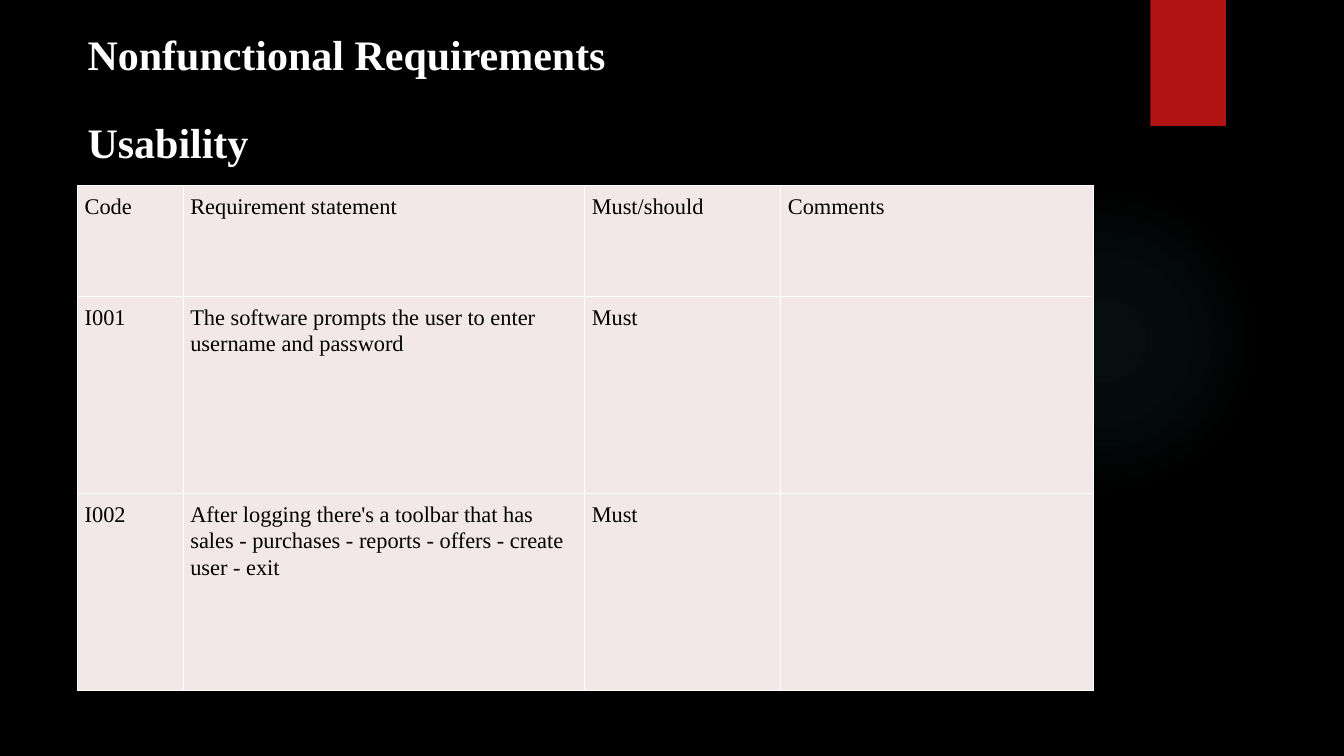
from dataclasses import dataclass

from lxml import etree
from pptx import Presentation
from pptx.dml.color import RGBColor
from pptx.enum.shapes import MSO_SHAPE
from pptx.oxml import parse_xml
from pptx.oxml.ns import nsdecls, qn
from pptx.util import Inches, Pt

OVAL = MSO_SHAPE.OVAL
RECTANGLE = MSO_SHAPE.RECTANGLE


@dataclass(frozen=True)
class Theme:
    font: str = "Times New Roman"
    background: str = "000000"
    heading: str = "FFFFFF"
    body: str = "000000"
    cell: str = "F2E8E7"
    border: str = "FFFFFF"
    ribbon: str = "B01513"
    glow: str = "50B9C1"
    heading_size: int = 30
    body_size: int = 16
    line_spacing: float = 1.07


THEME = Theme()
SLIDE_WIDTH, SLIDE_HEIGHT = 13.33, 7.5
LEFT_MARGIN = 0.77
GLOW_BOX = (9.41, 1.83, 3.08, 3.08)
RIBBON_BOX = (11.41, 0, 0.75, 1.25)
HEADING_BOX = (LEFT_MARGIN, 0.2, 6.67, 2.16)
TABLE_BOX = (LEFT_MARGIN, 1.84, 10.08, 5.01)
COLUMN_SHARES = (0.104, 0.395, 0.193, 0.308)
ROW_SHARES = (0.22, 0.39, 0.39)
CELL_MARGIN = 0.07
GLOW_STOPS = ((0, 7), (36, 6), (69, 0))  # position and opacity, percent

HEADINGS = ("Nonfunctional Requirements", "Usability")
REQUIREMENTS = (
    ("Code", "Requirement statement", "Must/should", "Comments"),
    ("I001", "The software prompts the user to enter username and password", "Must", ""),
    ("I002", "After logging there's a toolbar that has sales - purchases - reports"
             " - offers - create user - exit", "Must", ""),
)


def color(code):
    return RGBColor.from_string(code)


def inches(box):
    return [Inches(length) for length in box]


def style_paragraph(para, size, code, space_after, bold=False):
    para.line_spacing = THEME.line_spacing
    para.space_after = Pt(space_after)
    para.font.name = THEME.font
    para.font.size = Pt(size)
    para.font.bold = bold
    para.font.color.rgb = color(code)


def add_plain_shape(slide, kind, box, code):
    shape = slide.shapes.add_shape(kind, *inches(box))
    shape.shadow.inherit = False
    shape.fill.solid()
    shape.fill.fore_color.rgb = color(code)
    shape.line.fill.background()
    return shape


def add_glow(slide, box):
    """Draw a circle that fades out from its centre."""
    glow = add_plain_shape(slide, OVAL, box, THEME.glow)
    stops = "".join(
        f'<a:gs pos="{position * 1000}"><a:srgbClr val="{THEME.glow}">'
        f'<a:alpha val="{opacity * 1000}"/></a:srgbClr></a:gs>'
        for position, opacity in GLOW_STOPS)
    gradient = parse_xml(
        f'<a:gradFill {nsdecls("a")}><a:gsLst>{stops}</a:gsLst><a:path path="circle">'
        '<a:fillToRect l="50000" t="50000" r="50000" b="50000"/></a:path></a:gradFill>')
    properties = glow.element.spPr
    properties.replace(properties.find(qn("a:solidFill")), gradient)


def add_ribbon(slide, box):
    ribbon = add_plain_shape(slide, RECTANGLE, box, THEME.ribbon)
    effects = ribbon.element.spPr.find(qn("a:effectLst"))
    effects.append(parse_xml(
        f'<a:outerShdw {nsdecls("a")} blurRad="{Pt(3)}" dist="{Pt(2)}" dir="5400000">'
        '<a:srgbClr val="000000"><a:alpha val="45000"/></a:srgbClr></a:outerShdw>'))


def add_headings(slide, box):
    frame = slide.shapes.add_textbox(*inches(box)).text_frame
    frame.word_wrap = True
    frame.text = "\n".join(HEADINGS)
    for para in frame.paragraphs:
        style_paragraph(para, THEME.heading_size, THEME.heading, 24, bold=True)


def add_borders(cell):
    properties = cell._tc.get_or_add_tcPr()
    for index, side in enumerate(("lnL", "lnR", "lnT", "lnB")):
        line = etree.Element(qn(f"a:{side}"), w=str(Pt(1)))
        fill = etree.SubElement(line, qn("a:solidFill"))
        etree.SubElement(fill, qn("a:srgbClr"), val=THEME.border)
        properties.insert(index, line)


def fill_cell(cell, text):
    cell.text = text
    cell.margin_left = cell.margin_right = Inches(CELL_MARGIN)
    cell.margin_top = cell.margin_bottom = Inches(CELL_MARGIN)
    cell.fill.solid()
    cell.fill.fore_color.rgb = color(THEME.cell)
    add_borders(cell)
    style_paragraph(cell.text_frame.paragraphs[0], THEME.body_size, THEME.body, 8)


def add_requirements(slide, box):
    width, height = box[2:]
    table = slide.shapes.add_table(
        len(ROW_SHARES), len(COLUMN_SHARES), *inches(box)).table
    for column, share in zip(table.columns, COLUMN_SHARES):
        column.width = Inches(width * share)
    for row, share, texts in zip(table.rows, ROW_SHARES, REQUIREMENTS):
        row.height = Inches(height * share)
        for cell, text in zip(row.cells, texts):
            fill_cell(cell, text)


def add_requirements_slide(deck):
    slide = deck.slides.add_slide(deck.slide_layouts[6])
    slide.background.fill.solid()
    slide.background.fill.fore_color.rgb = color(THEME.background)
    add_glow(slide, GLOW_BOX)
    add_ribbon(slide, RIBBON_BOX)
    add_requirements(slide, TABLE_BOX)
    add_headings(slide, HEADING_BOX)


def main():
    deck = Presentation()
    deck.slide_width = Inches(SLIDE_WIDTH)
    deck.slide_height = Inches(SLIDE_HEIGHT)
    add_requirements_slide(deck)
    deck.save("out.pptx")


if __name__ == "__main__":
    main()
